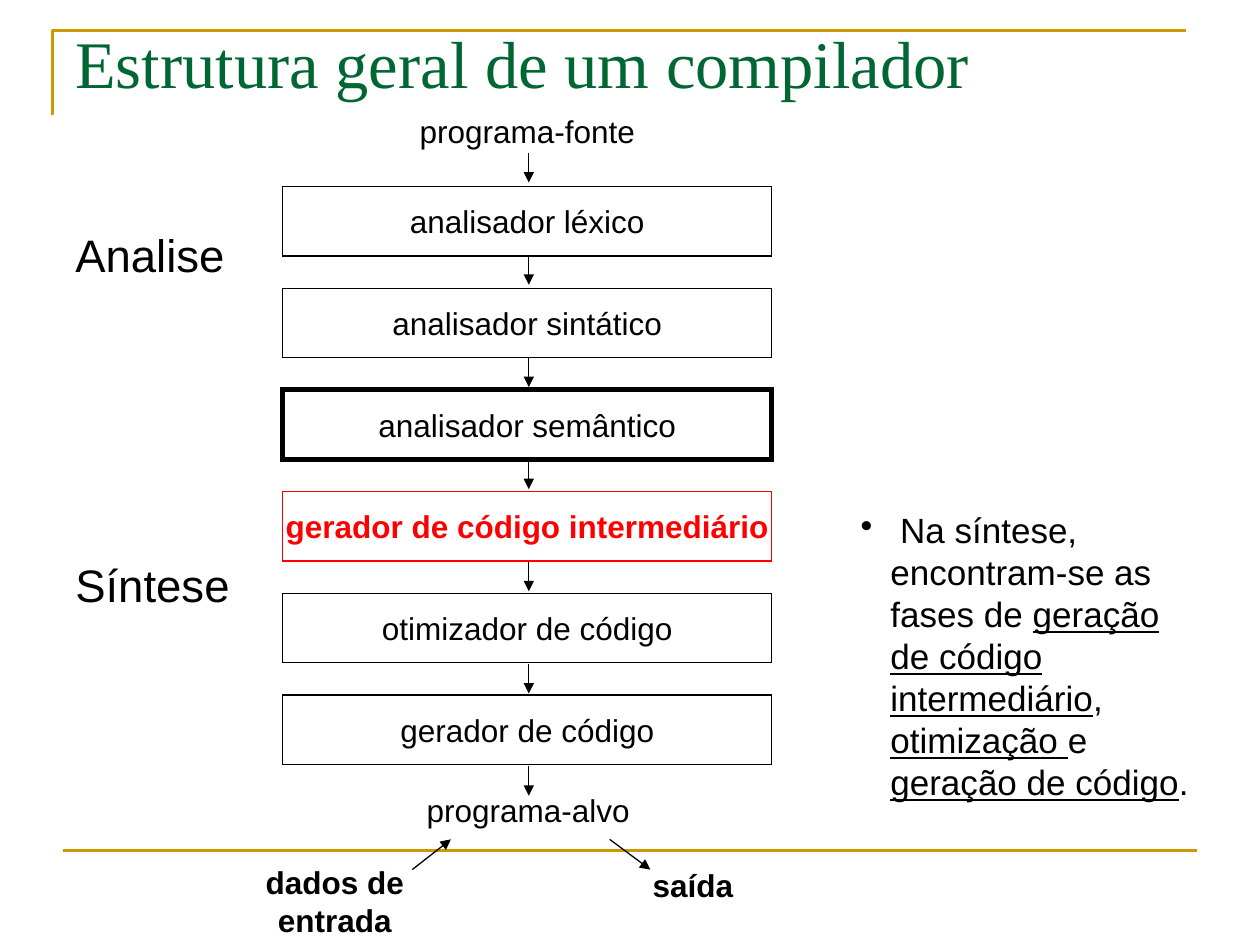
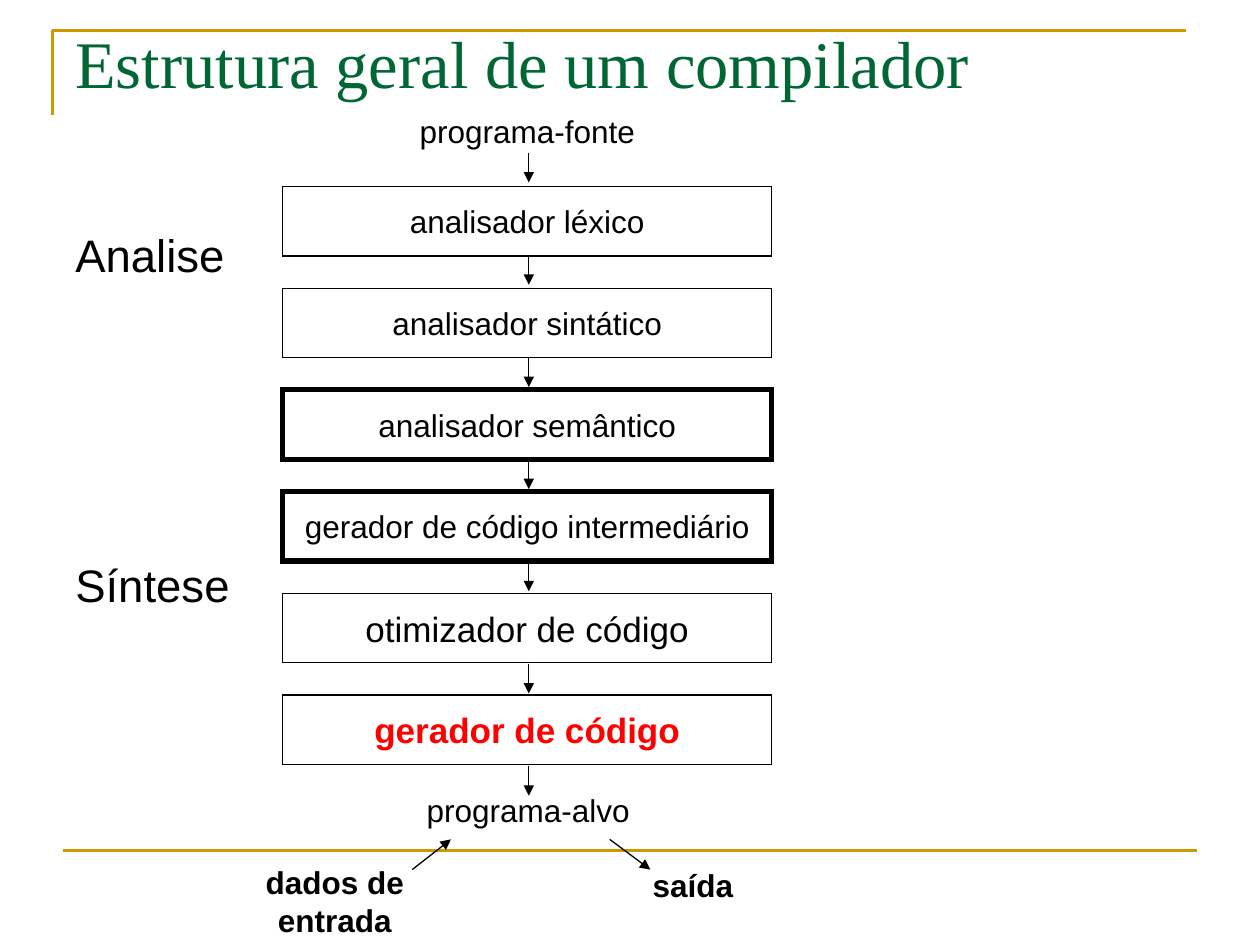
from dataclasses import dataclass

from lxml import etree
from pptx import Presentation
from pptx.dml.color import RGBColor
from pptx.enum.shapes import MSO_CONNECTOR, MSO_SHAPE
from pptx.enum.text import MSO_ANCHOR, PP_ALIGN
from pptx.oxml.ns import qn
from pptx.shapes.connector import Connector
from pptx.slide import Slide
from pptx.text.text import TextFrame
from pptx.util import Cm, Pt

BLACK = RGBColor(0x00, 0x00, 0x00)
RED = RGBColor(0xFF, 0x00, 0x00)
GOLD = RGBColor(0xCC, 0x99, 0x00)
GREEN = RGBColor(0x00, 0x66, 0x33)

STRAIGHT = MSO_CONNECTOR.STRAIGHT
RECTANGLE = MSO_SHAPE.RECTANGLE
LEFT, CENTER = PP_ALIGN.LEFT, PP_ALIGN.CENTER
TOP, MIDDLE = MSO_ANCHOR.TOP, MSO_ANCHOR.MIDDLE

BLANK_LAYOUT = 6
THIN, THICK, RULE = 0.75, 3, 1.5

PHASE_LEFT, PHASE_TOP, PHASE_PITCH = 5.7, 3.76, 2.05
PHASE_WIDTH, PHASE_HEIGHT = 9.86, 1.4
FLOW_X, FLOW_TOP, FLOW_PITCH, FLOW_LENGTH = 10.66, 3.08, 2.06, 0.6


@dataclass(frozen=True)
class Phase:
    """One compiler phase and its emphasis."""

    name: str
    size: float = 18
    color: RGBColor = BLACK
    bold: bool = False
    border: RGBColor = BLACK
    border_width: float = THIN


@dataclass(frozen=True)
class Label:
    """A free-standing caption, with its place in centimetres."""

    text: str
    left: float
    top: float
    width: float
    height: float
    size: float = 18
    font: str = "Arial"
    color: RGBColor = BLACK
    bold: bool = False
    align: PP_ALIGN = LEFT


@dataclass(frozen=True)
class Arrow:
    """An arrow between two points in centimetres."""

    x1: float
    y1: float
    x2: float
    y2: float


LABELS = (
    Label("Estrutura geral de um compilador", 1.27, 0.31, 22.86, 1.75,
          size=38, font="Times New Roman", color=GREEN),
    Label("Analise", 1.27, 4.46, 4.2, 1.3, size=26),
    Label("Síntese", 1.27, 11.11, 4.2, 1.3, size=26),
    Label("programa-fonte", 8.21, 2.13, 4.85, 1.02),
    Label("programa-alvo", 8.35, 15.82, 4.6, 1.02),
    Label("dados de\nentrada", 4.85, 17.27, 3.8, 1.78, bold=True, align=CENTER),
    Label("saída", 12.8, 17.33, 2.34, 1.02, bold=True, align=CENTER),
)
DATA_ARROWS = (
    Arrow(8.31, 17.53, 9.09, 16.92),
    Arrow(12.29, 16.92, 13.11, 17.53),
)
ANALYSIS = (
    Phase("analisador léxico"),
    Phase("analisador sintático"),
    Phase("analisador semântico", border_width=THICK),
)
INTERMEDIATE_FOCUS = ANALYSIS + (
    Phase("gerador de código intermediário", color=RED, bold=True, border=RED),
    Phase("otimizador de código"),
    Phase("gerador de código"),
)
FINAL_FOCUS = ANALYSIS + (
    Phase("gerador de código intermediário", border_width=THICK),
    Phase("otimizador de código", size=20),
    Phase("gerador de código", size=20, color=RED, bold=True),
)
SYNTHESIS_NOTE = (
    " Na síntese, encontram-se as fases de ", "geração de código intermediário",
    ", ", "otimização ", "e ", "geração de código", ".",
)


def write(frame: TextFrame, *parts: str, size: float = 18, font: str = "Arial",
          color: RGBColor = BLACK, bold: bool = False, align: PP_ALIGN = LEFT,
          anchor: MSO_ANCHOR = TOP, wrap: bool = False, bullet: str = "") -> None:
    """Write one paragraph whose parts alternate between plain and underlined."""
    frame.word_wrap = wrap
    frame.vertical_anchor = anchor
    paragraph = frame.paragraphs[0]
    paragraph.alignment = align
    if bullet:
        properties = paragraph._p.get_or_add_pPr()
        properties.set("marL", str(Cm(0.6)))
        properties.set("indent", str(-Cm(0.6)))
        etree.SubElement(properties, qn("a:buChar")).set("char", bullet)
    for index, part in enumerate(parts):
        for line_number, line in enumerate(part.split("\n")):
            if line_number:
                paragraph.add_line_break()
            run = paragraph.add_run()
            run.text = line
            run.font.size = Pt(size)
            run.font.name = font
            run.font.color.rgb = color
            run.font.bold = bold
            run.font.underline = index % 2 == 1


def draw_line(slide: Slide, x1: float, y1: float, x2: float, y2: float,
              color: RGBColor, width: float) -> Connector:
    """Draw a straight line without a shadow."""
    line = slide.shapes.add_connector(STRAIGHT, Cm(x1), Cm(y1), Cm(x2), Cm(y2))
    line.line.color.rgb = color
    line.line.width = Pt(width)
    etree.SubElement(line._element.spPr, qn("a:effectLst"))
    return line


def draw_arrow(slide: Slide, arrow: Arrow) -> None:
    """Draw a thin black arrow."""
    line = draw_line(slide, arrow.x1, arrow.y1, arrow.x2, arrow.y2, BLACK, THIN)
    head = etree.SubElement(line.line._get_or_add_ln(), qn("a:tailEnd"))
    head.set("type", "triangle")


def draw_label(slide: Slide, label: Label) -> None:
    """Draw a caption."""
    box = slide.shapes.add_textbox(Cm(label.left), Cm(label.top),
                                   Cm(label.width), Cm(label.height))
    write(box.text_frame, label.text, size=label.size, font=label.font,
          color=label.color, bold=label.bold, align=label.align)


def draw_phase(slide: Slide, phase: Phase, top: float) -> None:
    """Draw the square-cornered box of one phase."""
    box = slide.shapes.add_shape(RECTANGLE, Cm(PHASE_LEFT), Cm(top),
                                 Cm(PHASE_WIDTH), Cm(PHASE_HEIGHT))
    box.shadow.inherit = False
    box.fill.background()
    box.line.color.rgb = phase.border
    box.line.width = Pt(phase.border_width)
    etree.SubElement(box.line._get_or_add_ln(), qn("a:miter")).set("lim", "800000")
    write(box.text_frame, phase.name, size=phase.size, color=phase.color,
          bold=phase.bold, align=CENTER, anchor=MIDDLE)


def draw_frame(slide: Slide) -> None:
    """Draw the gold corner above the title and the rule at the foot."""
    builder = slide.shapes.build_freeform(Cm(1.06), Cm(2.32))
    builder.add_line_segments([(Cm(1.06), Cm(0.62)), (Cm(23.91), Cm(0.62))], close=False)
    corner = builder.convert_to_shape()
    corner.shadow.inherit = False
    corner.fill.background()
    corner.line.color.rgb = GOLD
    corner.line.width = Pt(RULE)
    draw_line(slide, 1.27, 17.15, 24.13, 17.15, GOLD, RULE)


def add_compiler_slide(presentation: Presentation, phases: tuple[Phase, ...]) -> Slide:
    """Add a slide with the whole chain of phases."""
    slide = presentation.slides.add_slide(presentation.slide_layouts[BLANK_LAYOUT])
    draw_frame(slide)
    for label in LABELS:
        draw_label(slide, label)
    for step, phase in enumerate(phases):
        draw_phase(slide, phase, PHASE_TOP + step * PHASE_PITCH)
    for step in range(len(phases) + 1):
        start = FLOW_TOP + step * FLOW_PITCH
        draw_arrow(slide, Arrow(FLOW_X, start, FLOW_X, start + FLOW_LENGTH))
    for arrow in DATA_ARROWS:
        draw_arrow(slide, arrow)
    return slide


def main() -> None:
    """Build both slides and save them."""
    presentation = Presentation()
    presentation.slide_width, presentation.slide_height = Cm(25.4), Cm(19.05)
    intermediate = add_compiler_slide(presentation, INTERMEDIATE_FOCUS)
    note = intermediate.shapes.add_textbox(Cm(17.1), Cm(10.13), Cm(7.39), Cm(6.2))
    write(note.text_frame, *SYNTHESIS_NOTE, size=20, wrap=True, bullet="•")
    add_compiler_slide(presentation, FINAL_FOCUS)
    presentation.save("out.pptx")


if __name__ == "__main__":
    main()
